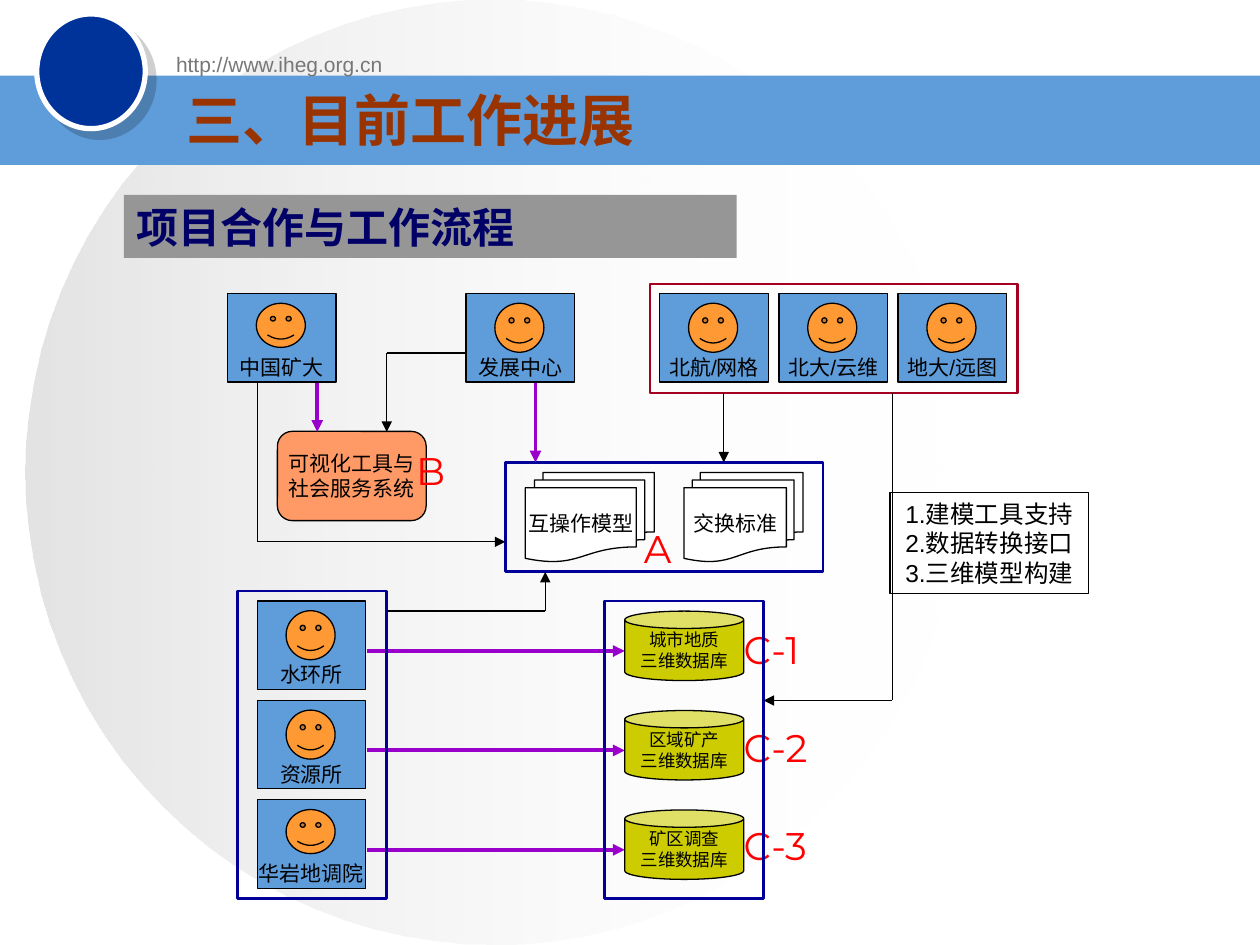
"""Build the project cooperation and workflow slide."""
from lxml import etree
from pptx import Presentation
from pptx.dml.color import RGBColor
from pptx.enum.shapes import MSO_CONNECTOR as Link, MSO_SHAPE as Kind
from pptx.enum.text import MSO_ANCHOR as Anchor, PP_ALIGN as Align
from pptx.oxml.ns import qn
from pptx.util import Pt

COLORS = {
    "white": "FFFFFF", "black": "000000", "silver": "C0C0C0", "blue": "5E9CDA",
    "badge": "003399", "address": "777777", "face": "FF9933", "partner": "A50021",
    "output": "9900CC", "database": "CCCC00", "frame": "000099", "tool": "FF9966",
    "tag": "FF0000", "banner": "969696", "subtitle": "000066", "title": "993300",
}


class Board:
    """Hold the style and the current slide."""

    font = "Arial"
    insets = (7.2, 3.6, 7.2, 3.6)

    def __init__(self, slide):
        self.slide = slide

    def color(self, name):
        return RGBColor.from_string(COLORS[name])

    def words(self, target, text, size, color="black", align=Align.CENTER, anchor=Anchor.MIDDLE,
              insets=insets, wrap=True, bold=False, font=font, spacing=None):
        frame = target.text_frame
        frame.text = text
        frame.word_wrap = wrap
        frame.vertical_anchor = anchor
        (frame.margin_left, frame.margin_top,
         frame.margin_right, frame.margin_bottom) = map(Pt, insets)
        for paragraph in frame.paragraphs:
            paragraph.alignment = align
            if spacing:
                paragraph.line_spacing = spacing
            for run in paragraph.runs:
                run.font.name = font
                run.font.size = Pt(size)
                run.font.bold = bold
                run.font.color.rgb = self.color(color)

    def shape(self, kind, area, fill=None, line=None, width=0.75, adjust=None):
        item = self.slide.shapes.add_shape(kind, *map(Pt, area))
        item.shadow.inherit = False
        if fill:
            item.fill.solid()
            item.fill.fore_color.rgb = self.color(fill)
        else:
            item.fill.background()
        if line:
            item.line.color.rgb = self.color(line)
            item.line.width = Pt(width)
        else:
            item.line.fill.background()
        if adjust is not None:
            item.adjustments[0] = adjust
        return item

    def backdrop(self, area):
        disc = self.shape(Kind.OVAL, area)
        disc.fill.gradient()
        disc.fill.gradient_angle = 0
        for position, (stop, name) in enumerate(zip(disc.fill.gradient_stops, ("silver", "white"))):
            stop.color.rgb = self.color(name)
            stop.position = position
        for tone, alpha in zip(disc.element.spPr.iter(qn("a:srgbClr")), ("44000", "0")):
            etree.SubElement(tone, qn("a:alpha"), val=alpha)

    def badge(self, area):
        oval = self.shape(Kind.OVAL, area, "badge", "white", 3)
        effects = oval.element.spPr.find(qn("a:effectLst"))
        shadow = etree.SubElement(effects, qn("a:outerShdw"), dist=str(Pt(7.1)),
                                  dir="2700000", algn="ctr", rotWithShape="0")
        tone = etree.SubElement(shadow, qn("a:srgbClr"), val=COLORS["black"])
        etree.SubElement(tone, qn("a:alpha"), val="19000")

    def label(self, text, area, size, color, **style):
        box = self.slide.shapes.add_textbox(*map(Pt, area))
        self.words(box, text, size, color, anchor=Anchor.TOP, **style)

    def tag(self, text, left, top, width=18):
        self.label(text, (left, top, width, 23), 22, "tag", align=Align.JUSTIFY,
                   insets=(0, 0, 0, 0), font="Montserrat", spacing=0.9)

    def card(self, name, left, top, face_height=28):
        panel = self.shape(Kind.RECTANGLE, (left, top, 62, 50.5), "blue", "black")
        self.words(panel, name, 12, anchor=Anchor.BOTTOM, insets=(0, 3.6, 0, 1.5))
        self.shape(Kind.SMILEY_FACE, (left + 16.5, top + 5.5, 28, face_height),
                   "face", "black", adjust=0.093)

    def block(self, kind, text, area, fill=None, size=12, adjust=None):
        block = self.shape(kind, area, fill, "black", adjust=adjust)
        self.words(block, text, size, wrap=False)

    def frame(self, area, color="frame"):
        self.shape(Kind.RECTANGLE, area, line=color, width=1.5)

    def route(self, points, color="black", width=0.75):
        for start, end in zip(points, points[1:]):
            leg = self.slide.shapes.add_connector(Link.STRAIGHT, *map(Pt, start + end))
            leg.line.color.rgb = self.color(color)
            leg.line.width = Pt(width)
            properties = leg.element.spPr
            if end == points[-1]:
                etree.SubElement(properties.find(qn("a:ln")), qn("a:tailEnd"), type="triangle")
            etree.SubElement(properties, qn("a:effectLst"))

    def title(self, text, area):
        heading = self.slide.shapes.title
        heading.left, heading.top, heading.width, heading.height = map(Pt, area)
        self.words(heading, text, 32, "title", align=Align.LEFT, bold=True)
        heading.element.getparent().append(heading.element)


def main():
    deck = Presentation()
    deck.slide_width, deck.slide_height = Pt(720), Pt(540)
    board = Board(deck.slides.add_slide(deck.slide_layouts[5]))

    board.backdrop((14.4, 0, 535.7, 540))
    board.shape(Kind.RECTANGLE, (0, 43.2, 720, 51), "blue")
    board.badge((21, 8, 62, 65.5))
    board.label("http://www.iheg.org.cn", (93.5, 26, 168, 19.5), 12, "address", align=Align.LEFT)

    row_top, row_step = 343.5, 56.8
    board.card("中国矿大", 130, 167.8, 25.2)
    board.card("发展中心", 266.3, 167.8)
    for index, partner in enumerate(("北航/网格", "北大/云维", "地大/远图")):
        board.card(partner, 377 + 68.1 * index, 167.8)
    board.frame((371.5, 162.2, 209.8, 62.4), "partner")

    institutes = (("水环所", "城市地质", 28), ("资源所", "区域矿产", 28), ("华岩地调院", "矿区调查", 25.2))
    for index, (institute, survey, face_height) in enumerate(institutes):
        top = row_top + row_step * index
        board.card(institute, 147, top, face_height)
        board.route([(209.5, top + 28.5), (357, top + 28.5)], "output", 2.25)
        board.block(Kind.CAN, f"{survey}\n三维数据库", (357, top + 5.7, 68, 39.7),
                    "database", 10, 0.25)
        board.tag(f"C-{index + 1}", 425, 360.6 + 56.2 * index, 45.4)
    board.frame((345.4, 343.5, 91, 170))
    board.frame((135.8, 337.8, 85.2, 175.8))

    board.block(Kind.FLOWCHART_MULTIDOCUMENT, "互操作模型", (300.2, 270, 73.7, 51), "white")
    board.block(Kind.FLOWCHART_MULTIDOCUMENT, "交换标准", (390.8, 270, 68, 51), "white")
    board.frame((288.7, 264.2, 181.7, 62.4))
    board.block(Kind.ROUNDED_RECTANGLE, "可视化工具与\n社会服务系统", (158.5, 246.5, 85, 51), "tool")
    board.tag("A", 368, 303)
    board.tag("B", 237.8, 258.5)

    board.route([(306, 218.6), (306, 264.2)], "output", 2.25)
    board.route([(181.3, 218.6), (181.3, 246.8)], "output", 2.25)
    board.route([(221, 349.2), (311.6, 349.2), (311.6, 326.8)])
    board.route([(266.3, 201.7), (221, 201.7), (221, 246.8)])
    board.route([(147, 218.6), (147, 309.6), (288.7, 309.6)])
    board.route([(413.6, 224.6), (413.6, 264.2)])
    board.route([(510, 224.6), (510, 400.3), (436.4, 400.3)])

    board.block(Kind.RECTANGLE, "1.建模工具支持\n2.数据转换接口\n3.三维模型构建",
                (508.6, 281.3, 113.5, 57.8), size=14)
    banner = board.shape(Kind.RECTANGLE, (70.8, 111.4, 350.2, 36), "banner")
    board.words(banner, "项目合作与工作流程", 24, "subtitle", align=Align.LEFT, bold=True)
    board.title("三、目前工作进展", (99.4, 49, 578, 38.2))
    deck.save("out.pptx")


if __name__ == "__main__":
    main()
